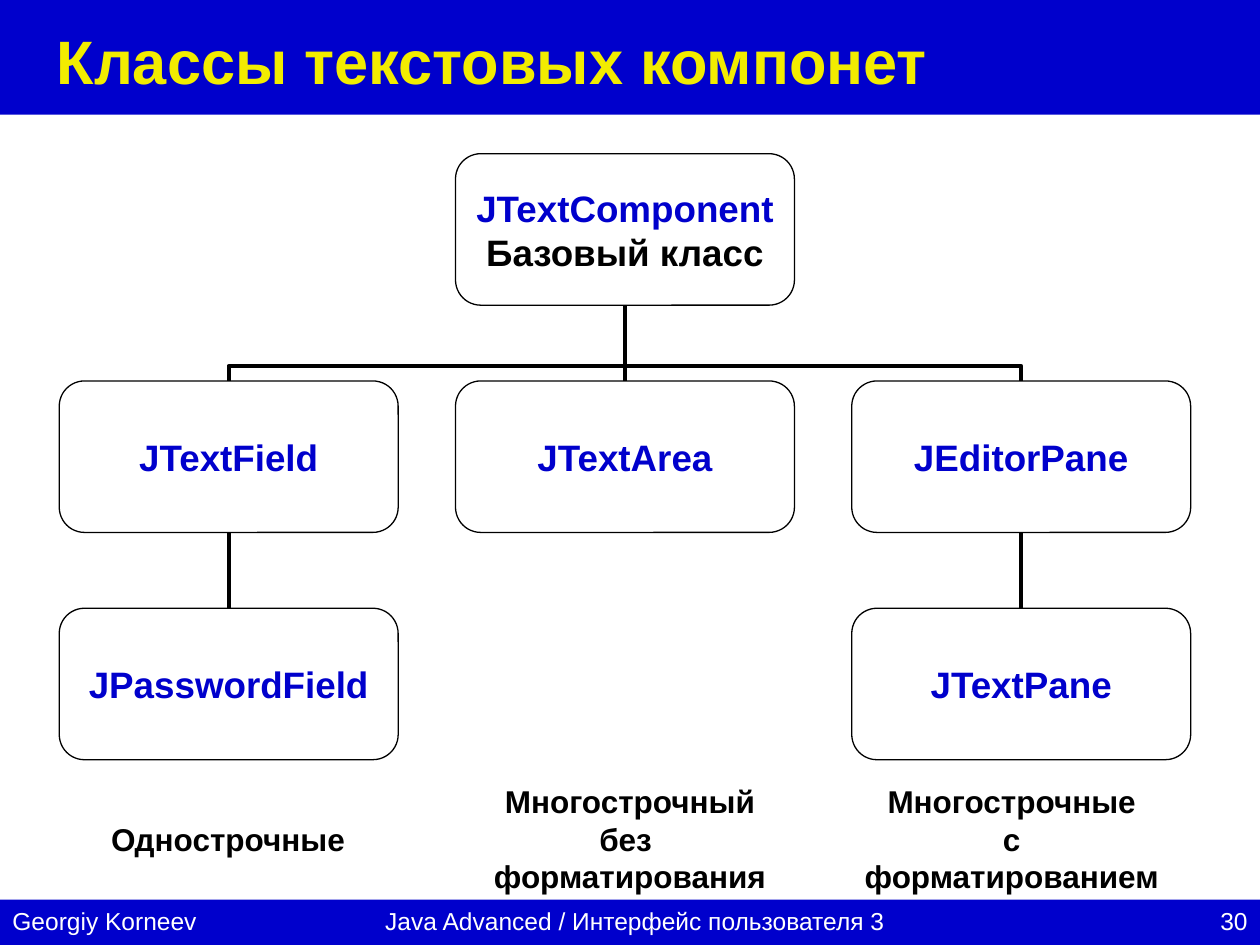
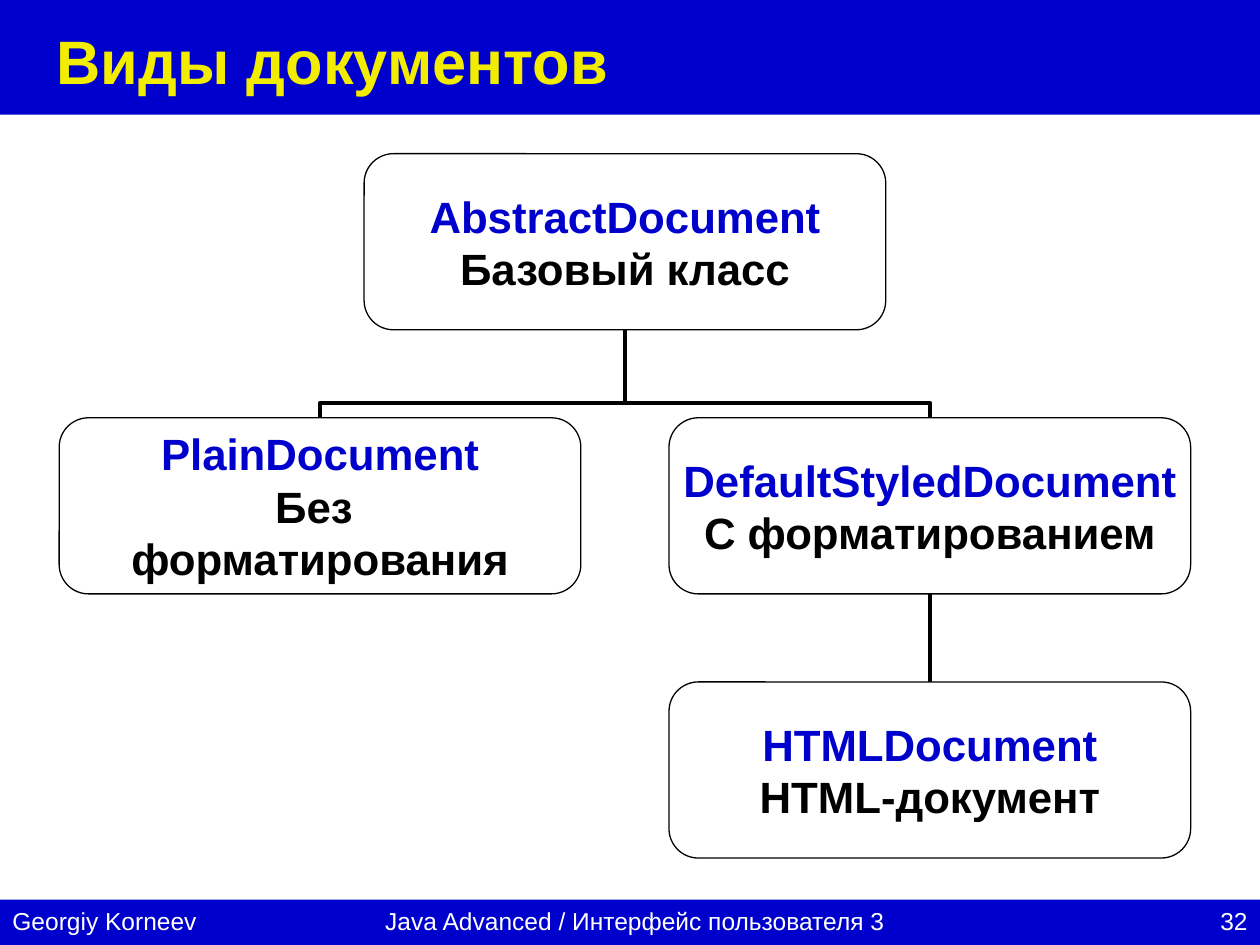
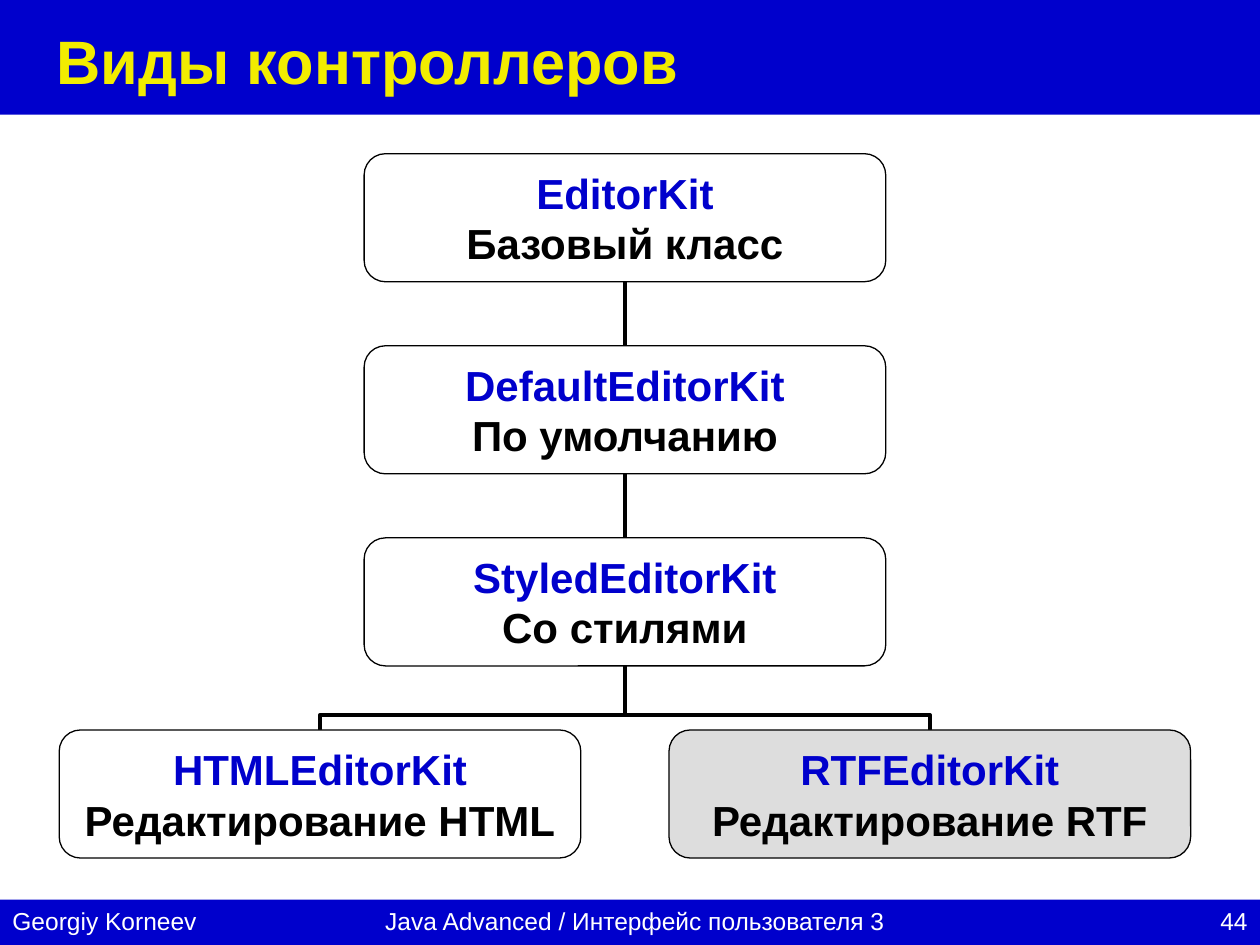
from dataclasses import dataclass

from lxml import etree
from pptx import Presentation
from pptx.dml.color import RGBColor
from pptx.enum.shapes import MSO_CONNECTOR, MSO_SHAPE
from pptx.enum.text import MSO_ANCHOR, PP_ALIGN
from pptx.oxml.ns import qn
from pptx.util import Inches, Pt

LEFT, MID, RIGHT = PP_ALIGN.LEFT, PP_ALIGN.CENTER, PP_ALIGN.RIGHT
TOP, HALF = MSO_ANCHOR.TOP, MSO_ANCHOR.MIDDLE
RECT, ROUND = MSO_SHAPE.RECTANGLE, MSO_SHAPE.ROUNDED_RECTANGLE
PLAIN, ELBOW = MSO_CONNECTOR.STRAIGHT, MSO_CONNECTOR.ELBOW


@dataclass(frozen=True)
class Theme:
    font: str = "Arial"
    blue: str = "0000CC"
    gold: str = "F2EC00"
    white: str = "FFFFFF"
    black: str = "000000"
    gray: str = "DDDDDD"
    title: int = 35
    label: int = 18
    foot: int = 14
    edge: float = 0.75
    link: float = 2.25


THEME = Theme()
BANDS = [(0, 0, 10, 0.91), (0, 7.14, 10, 0.36)]
FEET = [
    ("Georgiy Korneev", (0, 7.14, 4.02, 0.36), LEFT),
    ("Java Advanced / Интерфейс пользователя 3", (0.51, 7.14, 9.06, 0.36), MID),
]
PAGE = (9.1, 7.14, 0.9, 0.36)
HEAD = (0.35, 0.13, 9.65, 0.7)

TREE_X, TREE_Y, SPAN = 0.47, 1.22, 8.98
BUS = 0.12

# Each node: column, row, parent, fill, lines
SLIDES = [
    {
        "title": "Классы текстовых компонет", "page": "30",
        "size": 21, "wide": 2.69, "end": 6.03, "rows": 3,
        "nodes": [
            (1, 0, None, None, ["JTextComponent", "Базовый класс"]),
            (0, 1, 0, None, ["JTextField"]),
            (1, 1, 0, None, ["JTextArea"]),
            (2, 1, 0, None, ["JEditorPane"]),
            (0, 2, 1, None, ["JPasswordField"]),
            (2, 2, 3, None, ["JTextPane"]),
        ],
        "labels": [
            (0.51, ["Однострочные"]),
            (3.7, ["Многострочный без ", "форматирования"]),
            (6.73, ["Многострочные", "с форматированием"]),
        ],
    },
    {
        "title": "Виды документов", "page": "32",
        "size": 25, "wide": 4.14, "end": 6.81, "rows": 3,
        "nodes": [
            (1, 0, None, THEME.white, ["AbstractDocument", "Базовый класс"]),
            (0, 1, 0, THEME.white, ["PlainDocument", "Без ", "форматирования"]),
            (2, 1, 0, THEME.white, ["DefaultStyledDocument", "С форматированием"]),
            (2, 2, 2, THEME.white, ["HTMLDocument", "HTML-документ"]),
        ],
        "labels": [],
    },
    {
        "title": "Виды контроллеров", "page": "44",
        "size": 24, "wide": 4.14, "end": 6.81, "rows": 4,
        "nodes": [
            (1, 0, None, THEME.white, ["EditorKit", "Базовый класс"]),
            (1, 1, 0, THEME.white, ["DefaultEditorKit", "По умолчанию"]),
            (1, 2, 1, THEME.white, ["StyledEditorKit", "Cо стилями"]),
            (0, 3, 2, THEME.white, ["HTMLEditorKit", "Редактирование HTML"]),
            (2, 3, 2, THEME.gray, ["RTFEditorKit", "Редактирование RTF"]),
        ],
        "labels": [],
    },
]


def color(code):
    return RGBColor.from_string(code)


def write(frame, lines, size, inks, bold=False, align=MID, anchor=HALF):
    frame.vertical_anchor = anchor
    for i, (line, ink) in enumerate(zip(lines, inks)):
        para = frame.paragraphs[0] if i == 0 else frame.add_paragraph()
        para.alignment = align
        run = para.add_run()
        run.text = line
        font = run.font
        font.name, font.size, font.bold = THEME.font, Pt(size), bold
        font.color.rgb = color(ink)


def add_text(slide, lines, at, size, ink, wrap=True, **style):
    box = slide.shapes.add_textbox(*map(Inches, at))
    box.text_frame.word_wrap = wrap
    write(box.text_frame, lines, size, [ink] * len(lines), **style)
    return box


def add_foot(slide, text, at, align):
    return add_text(slide, [text], at, THEME.foot, THEME.white,
                    align=align, anchor=TOP)


def add_band(slide, at):
    band = slide.shapes.add_shape(RECT, *map(Inches, at))
    band.shadow.inherit = False
    band.fill.solid()
    band.fill.fore_color.rgb = color(THEME.blue)
    band.line.fill.background()
    return band


def dress(layout, slide):
    for spare in list(layout.placeholders)[1:]:
        spare.element.getparent().remove(spare.element)
    parts = [add_band(slide, at) for at in BANDS]
    parts += [add_foot(slide, *foot) for foot in FEET]
    for i, part in enumerate(parts):
        layout.shapes.element.insert(2 + i, part.element)


def add_title(slide, text):
    head = slide.shapes.title
    head.left, head.top, head.width, head.height = map(Inches, HEAD)
    write(head.text_frame, [text], THEME.title, [THEME.gold], True, LEFT)


def add_link(slide, child, base):
    (x1, y1), (x2, y2) = child, base
    rise, run = y1 - y2, abs(x1 - x2)
    bent = run > 0.01
    if bent:
        side = 1 if x1 > x2 else -1
        mx, my = (x1 + x2) / 2, (y1 + y2) / 2
        dx, dy = side * rise / 2, run / 2
        x1, y1, x2, y2 = mx - dx, my + dy, mx + dx, my - dy
    link = slide.shapes.add_connector(
        ELBOW if bent else PLAIN, *map(Inches, (x1, y1, x2, y2)))
    link.line.color.rgb = color(THEME.black)
    link.line.width = Pt(THEME.link)
    props = link.element.spPr
    etree.SubElement(props, qn("a:effectLst"))
    if bent:
        turn = 270 if side > 0 else 90
        props.find(qn("a:xfrm")).set("rot", str(turn * 60000))
        guides = props.find(qn("a:prstGeom")).find(qn("a:avLst"))
        guide = etree.SubElement(guides, qn("a:gd"))
        guide.set("name", "adj1")
        guide.set("fmla", f"val {round(BUS / rise * 100000)}")


def add_node(slide, at, fill, lines, size):
    node = slide.shapes.add_shape(ROUND, *map(Inches, at))
    node.shadow.inherit = False
    if fill:
        node.fill.solid()
        node.fill.fore_color.rgb = color(fill)
    else:
        node.fill.background()
    node.line.color.rgb = color(THEME.black)
    node.line.width = Pt(THEME.edge)
    frame = node.text_frame
    frame.word_wrap = False
    frame.margin_left = frame.margin_right = 0
    frame.margin_top = frame.margin_bottom = 0
    inks = [THEME.blue] + [THEME.black] * (len(lines) - 1)
    write(frame, lines, size, inks, True)


def add_tree(slide, data):
    wide, nodes = data["wide"], data["nodes"]
    high = (data["end"] - TREE_Y) / (1.5 * data["rows"] - 0.5)
    step = (SPAN - wide) / 2
    spots = [(TREE_X + col * step, TREE_Y + row * high * 1.5)
             for col, row, *_ in nodes]
    for (x, y), (_, _, base, _, _) in zip(spots, nodes):
        if base is not None:
            bx, by = spots[base]
            add_link(slide, (x + wide / 2, y), (bx + wide / 2, by + high))
    for (x, y), (_, _, _, fill, lines) in zip(spots, nodes):
        add_node(slide, (x, y, wide, high), fill, lines, data["size"])


def main():
    deck = Presentation()
    deck.slide_width, deck.slide_height = Inches(10), Inches(7.5)
    layout = deck.slide_layouts[5]
    for i, data in enumerate(SLIDES):
        slide = deck.slides.add_slide(layout)
        if i == 0:
            dress(layout, slide)
        add_title(slide, data["title"])
        add_foot(slide, data["page"], PAGE, RIGHT)
        add_tree(slide, data)
        for x, lines in data["labels"]:
            add_text(slide, lines, (x, 6.43, 2.6, 0.45), THEME.label,
                     THEME.black, wrap=False, bold=True)
    deck.save("out.pptx")


if __name__ == "__main__":
    main()
